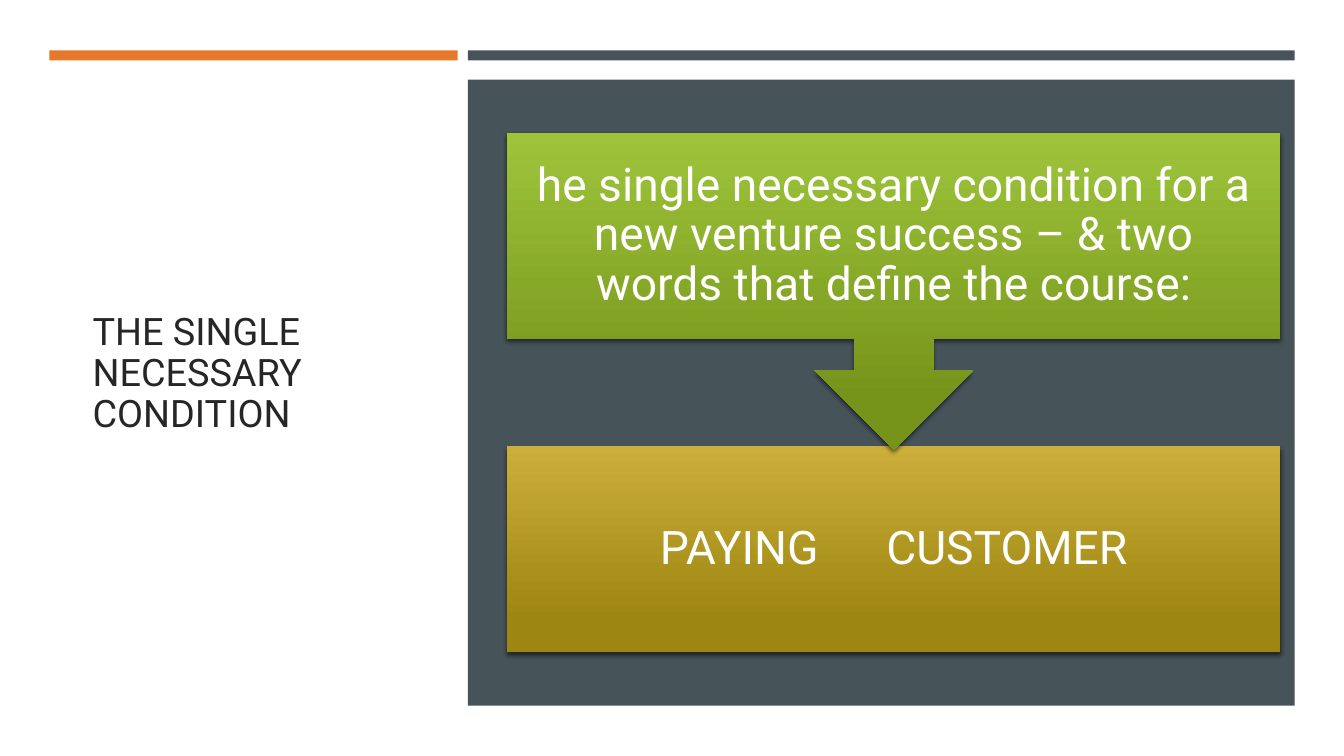
from lxml import etree
from pptx import Presentation
from pptx.dml.color import RGBColor
from pptx.enum.shapes import MSO_SHAPE
from pptx.enum.text import MSO_ANCHOR, PP_ALIGN
from pptx.oxml import parse_xml
from pptx.util import Inches, Pt

WHITE = RGBColor(0xFF, 0xFF, 0xFF)
INK = RGBColor(0x26, 0x26, 0x26)
ORANGE = RGBColor(0xE7, 0x78, 0x29)
SLATE = RGBColor(0x46, 0x53, 0x59)
GREEN = (RGBColor(0x9E, 0xC4, 0x3B), RGBColor(0x76, 0x94, 0x1A))
GOLD = (RGBColor(0xCC, 0xAF, 0x3A), RGBColor(0x9D, 0x86, 0x11))
SHADOW = (
    '<a:effectLst xmlns:a="http://schemas.openxmlformats.org/drawingml/2006/main">'
    '<a:outerShdw blurRad="38100" dist="25400" dir="5400000" rotWithShape="0">'
    '<a:srgbClr val="000000"><a:alpha val="55000"/></a:srgbClr>'
    '</a:outerShdw></a:effectLst>'
)


def add_box(kind, x, y, w, h):
    sp = s.shapes.add_shape(kind, Inches(x), Inches(y), Inches(w), Inches(h))
    sp.shadow.inherit = False
    sp.line.fill.background()
    return sp


def add_run(p, text, size, color):
    p.line_spacing = 0.9
    r = p.add_run()
    r.text = text
    r.font.name = "Roboto"
    r.font.size = Pt(size)
    r.font.color.rgb = color
    return r


prs = Presentation()
prs.slide_width, prs.slide_height = Inches(13.33), Inches(7.5)
s = prs.slides.add_slide(prs.slide_layouts[6])
s.background.fill.solid()
s.background.fill.fore_color.rgb = WHITE

# Title
tf = s.shapes.add_textbox(Inches(0.82), Inches(1.14), Inches(3.34), Inches(5.15)).text_frame
tf.word_wrap = True
tf.vertical_anchor = MSO_ANCHOR.MIDDLE
add_run(tf.paragraphs[0], "THE SINGLE NECESSARY CONDITION", 27, INK)

# Top bars and dark panel
for x, y, w, h, color in [
    (0.49, 0.5, 4.05, 0.1, ORANGE),
    (4.64, 0.5, 8.2, 0.1, SLATE),
    (4.64, 0.79, 8.2, 6.21, SLATE),
]:
    sp = add_box(MSO_SHAPE.RECTANGLE, x, y, w, h)
    sp.fill.solid()
    sp.fill.fore_color.rgb = color

# Answer box and the condition callout that points to it
answer = add_box(MSO_SHAPE.RECTANGLE, 5.03, 4.43, 7.67, 2.04)
condition = add_box(MSO_SHAPE.DOWN_ARROW_CALLOUT, 5.03, 1.32, 7.67, 3.14)
condition.adjustments[3] = 0.65

for sp, colors in [(answer, GOLD), (condition, GREEN)]:
    sp.fill.gradient()
    sp.fill.gradient_angle = 270
    for stop, position, color in zip(sp.fill.gradient_stops, (0, 0.84), colors):
        stop.position = position
        stop.color.rgb = color
    spPr = sp._element.spPr
    spPr.replace(spPr.find("{*}effectLst"), parse_xml(SHADOW))
    tf = sp.text_frame
    tf.word_wrap = True
    tf.vertical_anchor = MSO_ANCHOR.MIDDLE
    tf.margin_left = tf.margin_right = tf.margin_top = tf.margin_bottom = Inches(0.26)
    tf.paragraphs[0].alignment = PP_ALIGN.CENTER

add_run(condition.text_frame.paragraphs[0],
        "he single necessary condition for a new venture success – "
        "& two words that define the course:", 33, WHITE)

# One widely tracked space separates the two words
p = answer.text_frame.paragraphs[0]
add_run(p, "PAYING", 33, WHITE)
gap = add_run(p, " ", 33, WHITE)
gap.font._element.set("spc", "4000")
add_run(p, "CUSTOMER", 33, WHITE)

prs.save("out.pptx")
